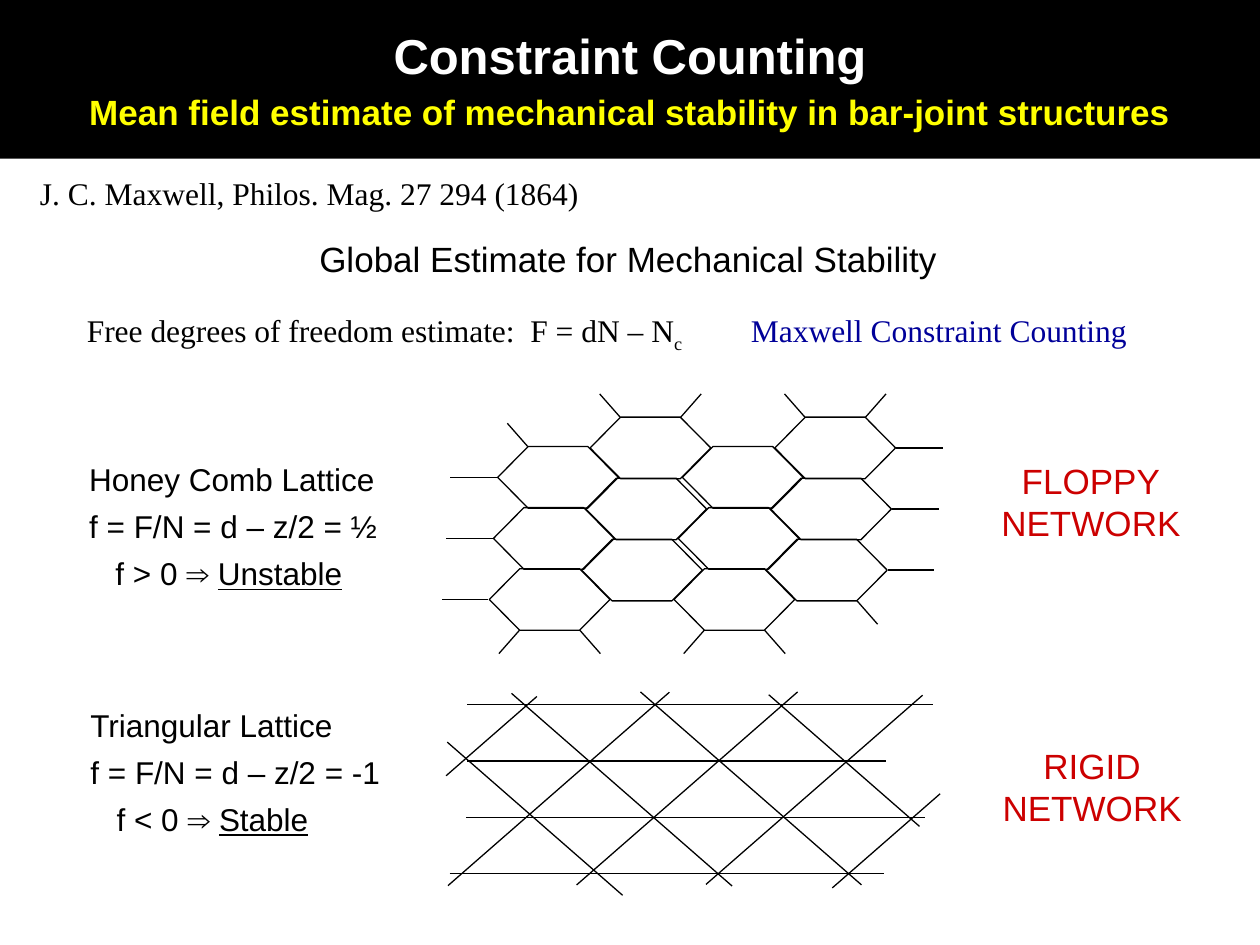
from dataclasses import dataclass
from itertools import product

from lxml.etree import SubElement
from pptx import Presentation
from pptx.dml.color import RGBColor
from pptx.enum.shapes import MSO_CONNECTOR, MSO_SHAPE
from pptx.enum.text import MSO_ANCHOR, MSO_AUTO_SIZE, PP_ALIGN
from pptx.oxml.ns import qn
from pptx.util import Pt


@dataclass(frozen=True)
class Theme:
    """Colours, fonts and type sizes of the slide."""
    black: RGBColor = RGBColor(0, 0, 0)
    white: RGBColor = RGBColor(255, 255, 255)
    yellow: RGBColor = RGBColor(255, 255, 0)
    blue: RGBColor = RGBColor(0, 0, 0x99)
    red: RGBColor = RGBColor(0xCC, 0, 0)
    sans: str = "Arial"
    serif: str = "Times New Roman"
    body: int = 18
    head: int = 20
    title: int = 28
    line: float = 0.75


THEME = Theme()
HEX_W, HEX_H = 69, 35.2
RUN = 1.145


def add_run(para, text, size, color=THEME.black, font=THEME.sans, bold=False, under=False):
    """Add one styled run to a paragraph."""
    run = para.add_run()
    run.text = text
    style = run.font
    style.size, style.name, style.bold = Pt(size), font, bold
    style.color.rgb = color
    if under:
        style.underline = True
    return run


def add_box(slide, left, top, width, height):
    """Add a wrapping text box and return its text frame."""
    frame = slide.shapes.add_textbox(Pt(left), Pt(top), Pt(width), Pt(height)).text_frame
    frame.word_wrap = True
    return frame


def add_title(slide):
    """Fill the title placeholder as a black banner."""
    title = slide.shapes.title
    title.left, title.top, title.width, title.height = Pt(0), Pt(0), Pt(720), Pt(90.7)
    title.fill.solid()
    title.fill.fore_color.rgb = THEME.black
    frame = title.text_frame
    frame.auto_size = MSO_AUTO_SIZE.NONE
    frame.vertical_anchor = MSO_ANCHOR.MIDDLE
    first, second = frame.paragraphs[0], frame.add_paragraph()
    first.alignment = second.alignment = PP_ALIGN.CENTER
    second.space_before = Pt(3.6)
    add_run(first, "Constraint Counting", THEME.title, THEME.white, bold=True)
    add_run(second, "Mean field estimate of mechanical stability in bar-joint structures",
            THEME.head, THEME.yellow, bold=True)


def add_count(slide):
    """Add the constraint formula with tab stops between its parts."""
    para = add_box(slide, 42.5, 174.2, 630, 29).paragraphs[0]
    tabs = SubElement(para._p.get_or_add_pPr(), qn("a:tabLst"))
    for stop in (253.5, 379.5):
        SubElement(tabs, qn("a:tab"), pos=str(Pt(stop)), algn="l")
    size, font = THEME.body, THEME.serif
    add_run(para, "Free degrees of freedom estimate:\tF = dN – N", size, font=font)
    sub = add_run(para, "c", size, font=font)
    sub._r.get_or_add_rPr().set("baseline", "-25000")
    add_run(para, "\tMaxwell Constraint Counting", size, THEME.blue, font)


def add_notes(slide, left, top, name, value, sign, state):
    """Add the three lines that describe one lattice."""
    frame = add_box(slide, left, top, 190, 82.8)
    add_run(frame.paragraphs[0], name, THEME.body)
    sum_line, end = frame.add_paragraph(), frame.add_paragraph()
    sum_line.space_before = end.space_before = Pt(5.4)
    add_run(sum_line, f"f = F/N = d – z/2 = {value}", THEME.body)
    end._p.get_or_add_pPr().set("marL", str(Pt(15)))
    add_run(end, f"f {sign} 0 ⇒ ", THEME.body)
    add_run(end, state, THEME.body, under=True)


def add_verdict(slide, left, top, word):
    """Add the red two-line verdict on a network."""
    frame = add_box(slide, left, top, 130, 55.4)
    for para, text in ((frame.paragraphs[0], word), (frame.add_paragraph(), "NETWORK")):
        para.alignment = PP_ALIGN.CENTER
        add_run(para, text, THEME.head, THEME.red)


def add_bar(slide, x1, y1, x2, y2):
    """Add one thin straight bar."""
    bar = slide.shapes.add_connector(MSO_CONNECTOR.STRAIGHT, Pt(x1), Pt(y1), Pt(x2), Pt(y2))
    bar.line.color.rgb = THEME.black
    bar.line.width = Pt(THEME.line)
    SubElement(bar._element.spPr, qn("a:effectLst"))


def cell_at(col, row):
    """Return the left and top of a honeycomb cell."""
    return 284.4 + 52.8 * col - 2.4 * row, (238.4 if col % 2 else 255.2) + 34.9 * row


def add_cell(slide, col, row):
    """Add one hexagonal cell."""
    left, top = cell_at(col, row)
    cell = slide.shapes.add_shape(MSO_SHAPE.HEXAGON, Pt(left), Pt(top), Pt(HEX_W), Pt(HEX_H))
    cell.adjustments[0] = 0.495
    cell.fill.background()
    cell.line.color.rgb = THEME.black
    cell.line.width = Pt(THEME.line)
    cell.shadow.inherit = False


def add_stub(slide, col, row, across, down):
    """Add a loose bar that leaves a cell corner in the given direction."""
    left, top = cell_at(col, row)
    reach, out = (17.3, 11.7) if down else (35, 26.5)
    x = left + HEX_W / 2 + across * reach
    y = top + HEX_H / 2 + down * HEX_H / 2
    add_bar(slide, x, y, x + across * out, y + down * 13.3)


def add_comb(slide):
    """Draw the honeycomb lattice and its loose bars."""
    for col, row in product(range(4), range(3)):
        add_cell(slide, col, row)
    for row in range(3):
        add_stub(slide, 0, row, -1, 0)
        add_stub(slide, 3, row, 1, 0)
    for stub in ((0, 0, -1, -1), (1, 0, -1, -1), (1, 0, 1, -1), (3, 0, -1, -1), (3, 0, 1, -1),
                 (0, 2, -1, 1), (0, 2, 1, 1), (2, 2, -1, 1), (2, 2, 1, 1), (3, 2, 1, 1)):
        add_stub(slide, *stub)


def add_mesh(slide):
    """Draw the triangular lattice from level and slanted bars."""
    for row, (x1, x2) in enumerate(((267, 533.3), (267, 506.3), (266.4, 528.5), (257, 505.3))):
        y = 402.7 + 32.2 * row
        add_bar(slide, x1, y, x2, y)
    falls = ((255.6, 424.1, 511.6), (292.3, 396.2, 506.3), (366, 395.4, 505.7),
             (439.3, 397, 472.2))
    rises = ((306.8, 398, 443.3), (382.5, 395.6, 506.1), (455.8, 395.4, 505.7),
             (527.2, 397.3, 505.4), (537.2, 453.6, 507.4))
    for way, bars in ((1, falls), (-1, rises)):
        for x, top, foot in bars:
            add_bar(slide, x, top, x + way * RUN * (foot - top), foot)


def main():
    """Build and save the slide."""
    deck = Presentation()
    deck.slide_width, deck.slide_height = Pt(720), Pt(540)
    slide = deck.slides.add_slide(deck.slide_layouts[5])
    add_title(slide)
    cite = add_box(slide, 15.8, 95.8, 344, 29).paragraphs[0]
    add_run(cite, "J. C. Maxwell, Philos. Mag. 27 294 (1864)", THEME.body, font=THEME.serif)
    head = add_box(slide, 164, 132, 390, 31).paragraphs[0]
    head.alignment = PP_ALIGN.CENTER
    add_run(head, "Global Estimate for Mechanical Stability", THEME.head)
    add_count(slide)
    add_comb(slide)
    add_notes(slide, 43.9, 259.2, "Honey Comb Lattice", "½", ">", "Unstable")
    add_verdict(slide, 558.4, 259.2, "FLOPPY")
    add_mesh(slide)
    add_notes(slide, 44.6, 399.6, "Triangular Lattice", "-1", "<", "Stable")
    add_verdict(slide, 559.1, 422, "RIGID")
    deck.save("out.pptx")


if __name__ == "__main__":
    main()
